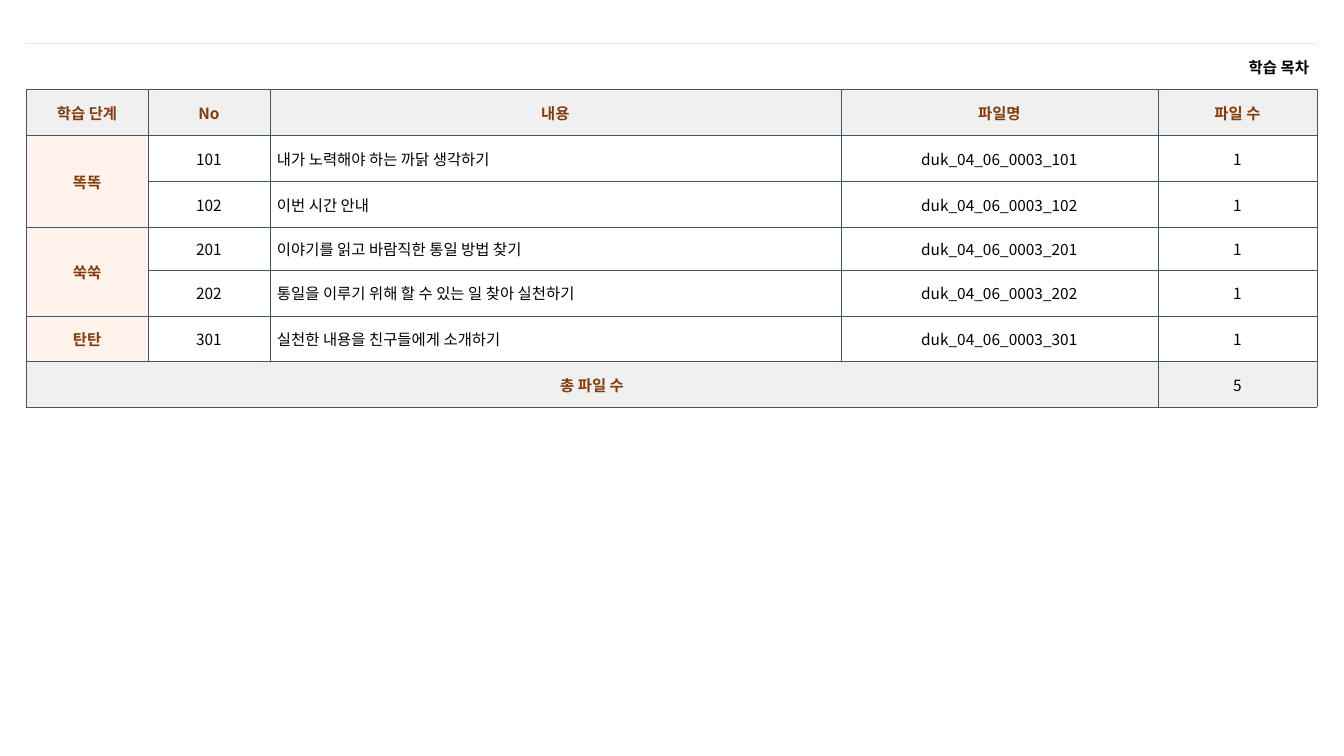
from dataclasses import dataclass

from lxml.etree import SubElement
from pptx import Presentation
from pptx.dml.color import RGBColor
from pptx.enum.text import MSO_ANCHOR as Anchor, PP_ALIGN as Align
from pptx.oxml.ns import qn
from pptx.util import Cm, Pt


@dataclass(frozen=True)
class Theme:
    font: str = "Noto Sans CJK KR"
    size: float = 11
    ink: str = "000000"
    accent: str = "843C0B"
    grid: str = "44546A"
    top_rule: str = "FBE5D6"
    header_fill: str = "F1F0F0"
    stage_fill: str = "FFF3EB"
    body_fill: str = "FFFFFF"
    grid_width: float = 0.5
    rule_width: float = 0.25


@dataclass(frozen=True)
class Box:
    left: float
    top: float
    columns: tuple
    rows: tuple


THEME = Theme()
CONTENTS_BOX = Box(0.66, 1.09, (3.07, 3.07, 14.39, 7.99, 4.01),
                   (1.16, 1.16, 1.16, 1.17, 1.07, 1.15, 1.15, 1.15))
TITLE = "학습 목차"
HEADINGS = ("학습 단계", "No", "내용", "파일명", "파일 수")
STAGES = {
    "똑똑": (("101", "내가 노력해야 하는 까닭 생각하기"), ("102", "이번 시간 안내")),
    "쑥쑥": (("201", "이야기를 읽고 바람직한 통일 방법 찾기"),
           ("202", "통일을 이루기 위해 할 수 있는 일 찾아 실천하기")),
    "탄탄": (("301", "실천한 내용을 친구들에게 소개하기"),),
}


def draw_border(cell, side, color, width):
    line = SubElement(cell._tc.get_or_add_tcPr(), qn(f"a:ln{side}"), w=str(Pt(width)))
    if color is None:
        SubElement(line, qn("a:noFill"))
    else:
        fill = SubElement(line, qn("a:solidFill"))
        SubElement(fill, qn("a:srgbClr"), val=color)


def format_cell(cell, fill, is_title=False):
    side_color = None if is_title else THEME.grid
    for side in "LR":
        draw_border(cell, side, side_color, THEME.grid_width)
    if is_title:
        draw_border(cell, "T", THEME.top_rule, THEME.rule_width)
    else:
        draw_border(cell, "T", THEME.grid, THEME.grid_width)
    draw_border(cell, "B", THEME.grid, THEME.grid_width)
    if fill is None:
        cell.fill.background()
    else:
        cell.fill.solid()
        cell.fill.fore_color.rgb = RGBColor.from_string(fill)
    cell.vertical_anchor = Anchor.MIDDLE
    cell.margin_left = cell.margin_right = Cm(0.2 if is_title else 0.18)
    cell.margin_top = cell.margin_bottom = Cm(0.13)


def write(cell, text, color=THEME.ink, bold=False, align=Align.CENTER):
    para = cell.text_frame.paragraphs[0]
    para.alignment = align
    span = para.add_run()
    span.text = text
    span.font.name = THEME.font
    SubElement(span.font._element, qn("a:ea"), typeface=THEME.font)
    span.font.size = Pt(THEME.size)
    span.font.bold = bold
    span.font.color.rgb = RGBColor.from_string(color)


def write_label(cell, text):
    write(cell, text, THEME.accent, True)


def fill_stages(table, row):
    for stage, lessons in STAGES.items():
        if len(lessons) > 1:
            table.cell(row, 0).merge(table.cell(row + len(lessons) - 1, 0))
        write_label(table.cell(row, 0), stage)
        for number, content in lessons:
            write(table.cell(row, 1), number)
            write(table.cell(row, 2), content, align=Align.LEFT)
            write(table.cell(row, 3), f"duk_04_06_0003_{number}")
            write(table.cell(row, 4), "1")
            row += 1


def add_contents_table(page, box):
    last_row, last_column = len(box.rows) - 1, len(box.columns) - 1
    frame = page.shapes.add_table(
        len(box.rows), len(box.columns), Cm(box.left), Cm(box.top),
        Cm(sum(box.columns)), Cm(sum(box.rows)))
    table = frame.table
    table.first_row = table.horz_banding = False
    for column, width in zip(table.columns, box.columns):
        column.width = Cm(width)
    for index, (row, height) in enumerate(zip(table.rows, box.rows)):
        row.height = Cm(height)
        for position, cell in enumerate(row.cells):
            if index == 0:
                fill = None
            elif index in (1, last_row):
                fill = THEME.header_fill
            else:
                fill = THEME.body_fill if position else THEME.stage_fill
            format_cell(cell, fill, is_title=index == 0)

    table.cell(0, 0).merge(table.cell(0, last_column))
    write(table.cell(0, 0), TITLE, bold=True, align=Align.RIGHT)
    for position, heading in enumerate(HEADINGS):
        write_label(table.cell(1, position), heading)
    fill_stages(table, 2)
    table.cell(last_row, 0).merge(table.cell(last_row, last_column - 1))
    write_label(table.cell(last_row, 0), "총 파일 수")
    write(table.cell(last_row, last_column), str(sum(map(len, STAGES.values()))))


def main():
    deck = Presentation()
    deck.slide_width, deck.slide_height = Cm(33.87), Cm(19.05)
    page = deck.slides.add_slide(deck.slide_layouts[6])
    add_contents_table(page, CONTENTS_BOX)
    deck.save("out.pptx")


if __name__ == "__main__":
    main()
